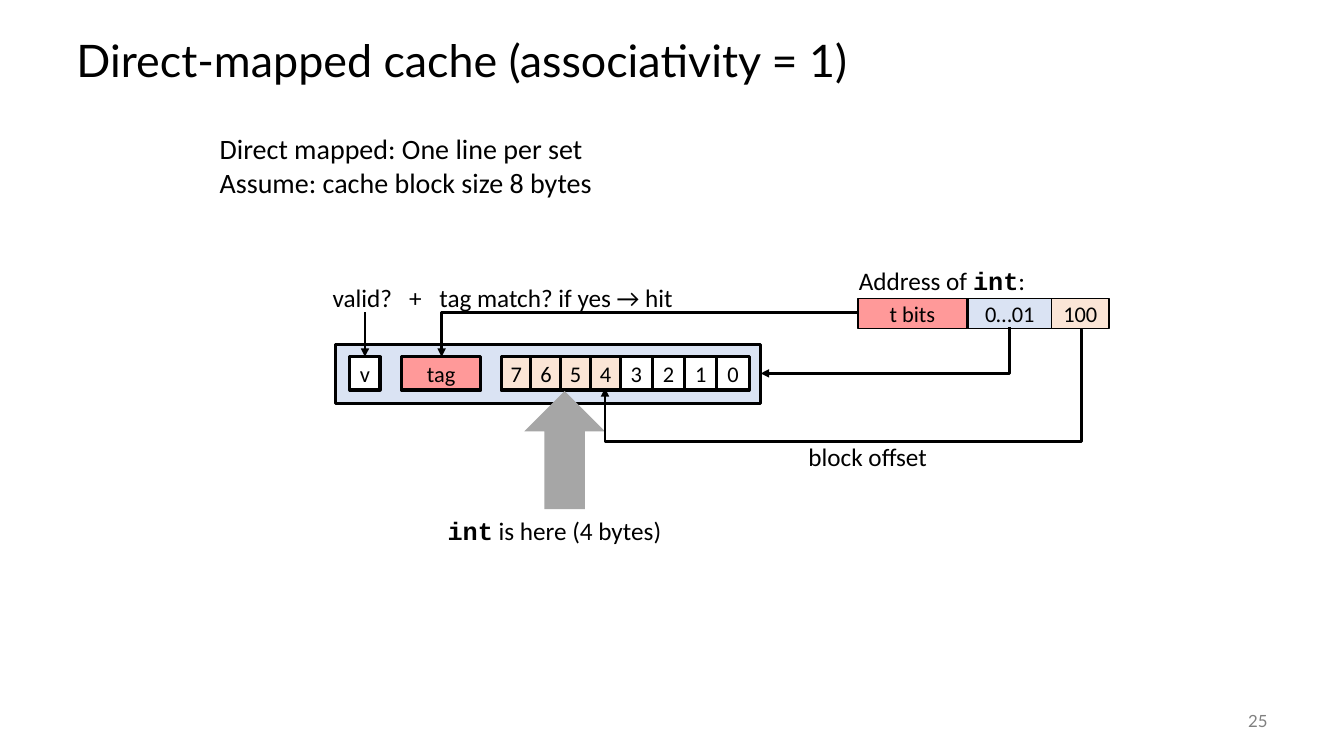
from lxml.etree import SubElement
from pptx import Presentation
from pptx.dml.color import RGBColor
from pptx.enum.shapes import MSO_CONNECTOR as CONNECTOR, MSO_SHAPE as SHAPE
from pptx.enum.text import MSO_ANCHOR as ANCHOR, MSO_AUTO_SIZE as AUTO_SIZE, PP_ALIGN as ALIGN
from pptx.oxml.ns import qn
from pptx.util import Inches, Pt

BLACK, WHITE, GRAY, ARROW_GRAY = "000000", "FFFFFF", "808080", "A6A6A6"
RED, BLUE, PEACH = "FF9999", "DAE3F3", "FBE5D6"
BODY = {"name": "Calibri", "size": Pt(18), "bold": False}
CODE = {"name": "Courier New", "size": Pt(18), "bold": True}
INTRO = {"name": "Calibri", "size": Pt(20)}
CELL = {"name": "Calibri", "size": Pt(16)}
TITLE = {"name": "Lato", "size": Pt(32)}
NUMBER = {"name": "Lato", "size": Pt(12)}
TOP, LEFT, BOTTOM, RIGHT = range(4)


def rgb(value):
    """Turn a hex string into a colour."""
    return RGBColor.from_string(value)


def apply(target, formats):
    """Set each named attribute on the target."""
    for name, value in formats.items():
        setattr(target, name, value)


def add_run(paragraph, text, formats, color=BLACK):
    """Append one formatted run."""
    run = paragraph.add_run()
    run.text = text
    apply(run.font, formats)
    run.font.color.rgb = rgb(color)


def add_text(slide, box, lines, color=BLACK, frame_format=None, paragraph_format=None):
    """Add a text box whose lines are lists of (text, format) runs."""
    frame = slide.shapes.add_textbox(*map(Inches, box)).text_frame
    apply(frame, frame_format or {"word_wrap": False, "auto_size": AUTO_SIZE.SHAPE_TO_FIT_TEXT})
    for index, runs in enumerate(lines):
        paragraph = frame.add_paragraph() if index else frame.paragraphs[0]
        apply(paragraph, paragraph_format or {})
        for text, formats in runs:
            add_run(paragraph, text, formats, color)


def add_box(slide, box, fill, text="", weight=2.25, wrap=False):
    """Add an outlined rectangle with an optional centred label."""
    shape = slide.shapes.add_shape(SHAPE.RECTANGLE, *map(Inches, box))
    shape.shadow.inherit = False
    shape.fill.solid()
    shape.fill.fore_color.rgb = rgb(fill)
    shape.line.color.rgb = rgb(BLACK)
    shape.line.width = Pt(weight)
    if text:
        apply(shape.text_frame, {"word_wrap": wrap, "vertical_anchor": ANCHOR.MIDDLE})
        paragraph = shape.text_frame.paragraphs[0]
        paragraph.alignment = ALIGN.CENTER
        add_run(paragraph, text, CELL)
    return shape


def add_block_arrow(slide, box):
    """Add the gray arrow that points up at the bytes."""
    shape = slide.shapes.add_shape(SHAPE.UP_ARROW, *map(Inches, box))
    shape.shadow.inherit = False
    shape.fill.solid()
    shape.fill.fore_color.rgb = rgb(ARROW_GRAY)
    shape.line.fill.background()


def add_arrow(slide, kind, start, end):
    """Add a black connector with an arrowhead at its end."""
    connector = slide.shapes.add_connector(kind, *map(Inches, start + end))
    connector.line.color.rgb = rgb(BLACK)
    connector.line.width = Pt(2)
    properties = connector._element.spPr
    SubElement(properties.find(qn("a:ln")), qn("a:tailEnd"), type="triangle")
    SubElement(properties, qn("a:effectLst"))
    return connector


def add_elbow(slide, preset, source, target, box, turn, flip=False, adjustments=()):
    """Join two (shape, side) pairs with a bent arrow."""
    connector = add_arrow(slide, CONNECTOR.ELBOW, box[:2], box[:2])
    connector.begin_connect(*source)
    connector.end_connect(*target)
    apply(connector, dict(zip(("left", "top", "width", "height"), map(Inches, box))))
    properties = connector._element.spPr
    transform = properties.find(qn("a:xfrm"))
    for name, value in {"rot": turn * 60000, "flipH": 0, "flipV": int(flip)}.items():
        transform.set(name, str(value))
    geometry = properties.find(qn("a:prstGeom"))
    geometry.set("prst", preset)
    for index, value in enumerate(adjustments, 1):
        SubElement(geometry.find(qn("a:avLst")), qn("a:gd"), name=f"adj{index}", fmla=f"val {value}")


def add_address(slide):
    """Add the three address fields and return them."""
    fields = [(8.51, 1.08, RED, "t bits"), (9.6, 0.83, BLUE, "0…01"), (10.43, 0.57, PEACH, "100")]
    return [add_box(slide, (left, 2.96, width, 0.3), fill, text, weight=1, wrap=True)
            for left, width, fill, text in fields]


def add_cache_line(slide):
    """Add the cache line and return its frame, valid bit, tag and byte cells."""
    frame = add_box(slide, (3.33, 3.42, 4.21, 0.58), BLUE)
    cells = {}
    for byte in range(7, -1, -1):
        if byte >= 4:
            left, width, fill = 4.97 + (7 - byte) * 0.295, 0.3, PEACH
        else:
            left, width, fill = 6.15 + (3 - byte) * 0.32, 0.32, WHITE
        cells[byte] = add_box(slide, (left, 3.54, width, 0.33), fill, str(byte))
    tag = add_box(slide, (3.98, 3.54, 0.79, 0.33), RED, "tag")
    valid = add_box(slide, (3.47, 3.54, 0.3, 0.33), WHITE, "v")
    return frame, valid, tag, cells


def main():
    """Build the slide and save it."""
    presentation = Presentation()
    apply(presentation, {"slide_width": Inches(13.33), "slide_height": Inches(7.5)})
    slide = presentation.slides.add_slide(presentation.slide_layouts[6])
    middle = {"word_wrap": True, "vertical_anchor": ANCHOR.MIDDLE}

    add_text(slide, (0.66, 0.25, 12, 0.75), [[("Direct-mapped cache (associativity = 1)", TITLE)]],
             frame_format=middle, paragraph_format={"line_spacing": 0.9})
    add_text(slide, (2.08, 1.26, 3.93, 0.77), [[("Direct mapped: One line per set", INTRO)],
                                              [("Assume: cache block size 8 bytes", INTRO)]])
    tag_bits, set_index, offset = add_address(slide)
    frame, valid, tag, cells = add_cache_line(slide)

    add_elbow(slide, "bentConnector2", (set_index, BOTTOM), (frame, RIGHT), (8.55, 2.24, 0.46, 2.47), 90)
    add_elbow(slide, "bentConnector2", (tag_bits, LEFT), (tag, TOP), (4.38, 3.1, 4.14, 0.44), 180, flip=True)
    add_arrow(slide, CONNECTOR.STRAIGHT, (3.62, 3.1), (3.62, 3.54)).end_connect(valid, TOP)
    add_block_arrow(slide, (5.2, 3.88, 0.8, 1.17))
    add_elbow(slide, "bentConnector4", (offset, BOTTOM), (cells[4], BOTTOM), (6, 3.27, 4.71, 0.58), 180,
              flip=True, adjustments=(-300, 190700))

    labels = [
        ((4.26, 2.75, 2.62, 0.4), [("tag match? if yes → hit", BODY)]),
        ((3.2, 2.75, 0.8, 0.4), [("valid?", BODY)]),
        ((3.96, 2.75, 0.32, 0.4), [("+", BODY)]),
        ((4.34, 5.06, 2.35, 0.4), [("int", CODE), (" is here (4 bytes)", BODY)]),
        ((7.92, 4.33, 1.42, 0.4), [("block offset", BODY)]),
        ((8.42, 2.58, 1.87, 0.4), [("Address of ", BODY), ("int", CODE), (":", BODY)]),
    ]
    for box, runs in labels:
        add_text(slide, box, [runs])
    add_text(slide, (11.67, 6.95, 1, 0.4), [[("25", NUMBER)]], GRAY, middle, {"alignment": ALIGN.RIGHT})
    presentation.save("out.pptx")


if __name__ == "__main__":
    main()
